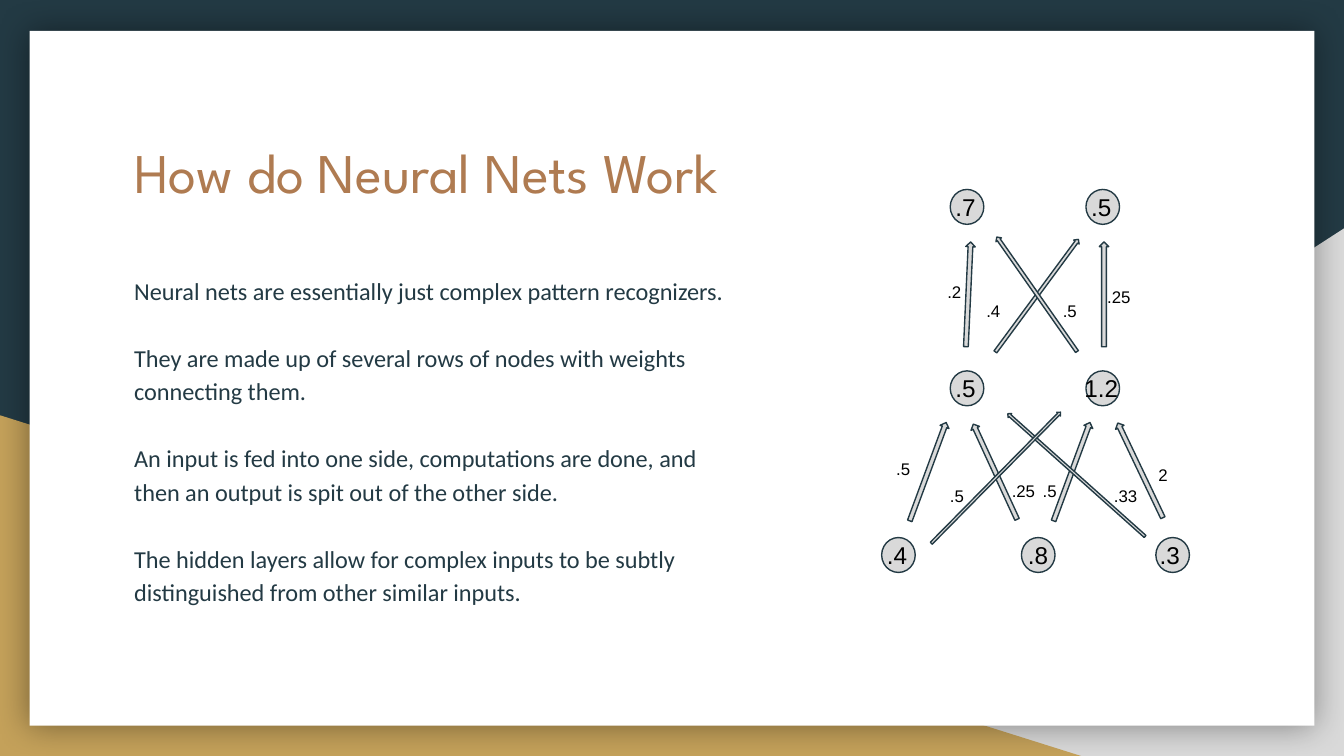
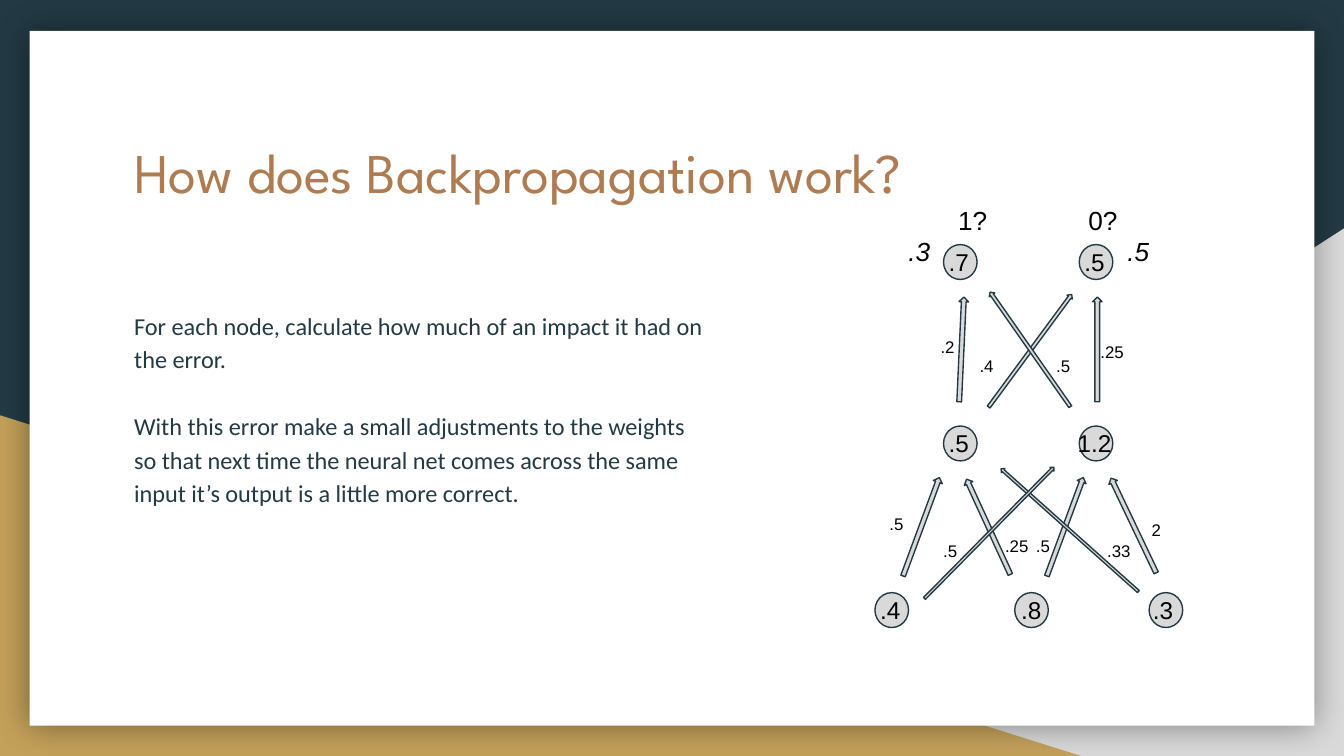
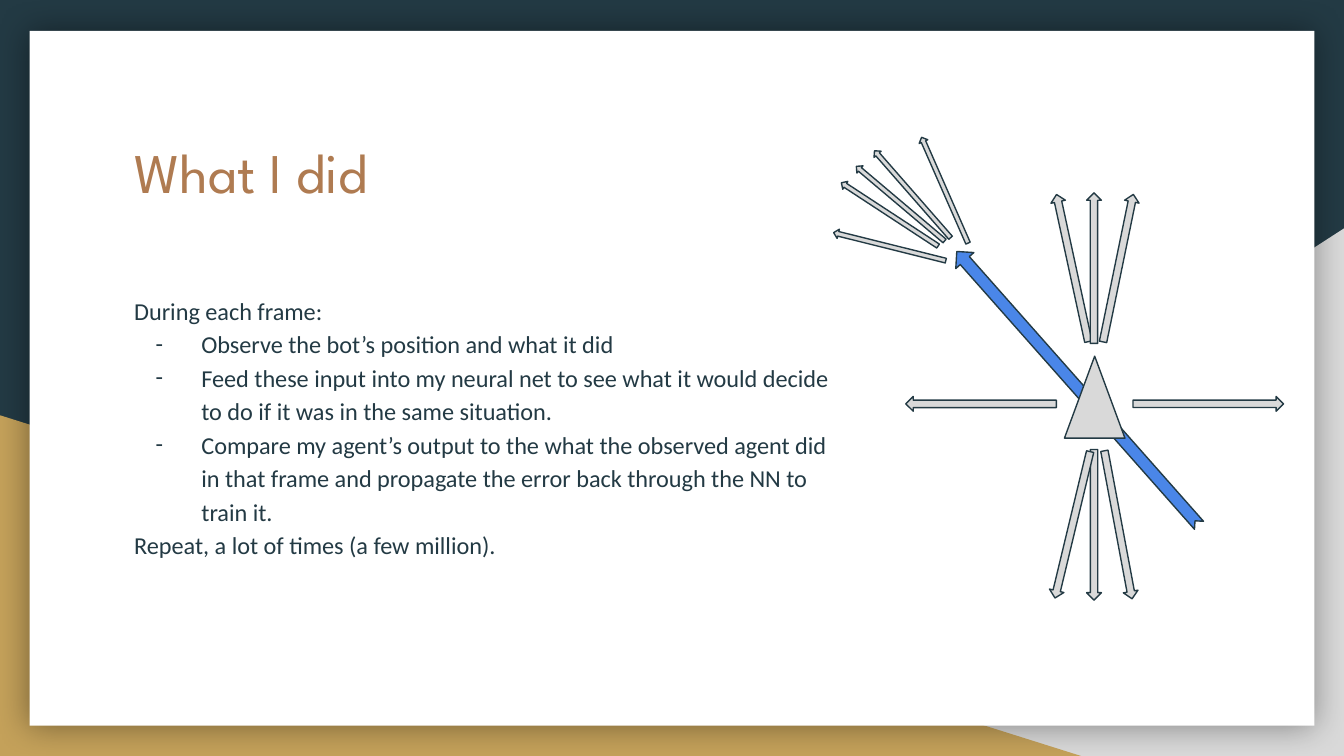
from dataclasses import dataclass

from lxml.etree import SubElement
from pptx import Presentation
from pptx.dml.color import RGBColor
from pptx.enum.shapes import MSO_SHAPE as Preset
from pptx.oxml.ns import qn
from pptx.presentation import Presentation as Deck
from pptx.shapes.autoshape import Shape
from pptx.slide import Slide
from pptx.text.text import _Paragraph as Paragraph
from pptx.util import Inches, Pt

NAVY = RGBColor(0x23, 0x3A, 0x44)
GREY = RGBColor(0xD9, 0xD9, 0xD9)
GOLD = RGBColor(0xC4, 0xA1, 0x5A)
BRONZE = RGBColor(0xAF, 0x7B, 0x51)
BLUE = RGBColor(0x4A, 0x86, 0xE8)
WHITE = RGBColor(0xFF, 0xFF, 0xFF)
BLACK = RGBColor(0x00, 0x00, 0x00)

TITLE_FONT, BODY_FONT, LABEL_FONT = "League Spartan", "Calibri", "Arial"
MARGIN_LEFT = 0.9
BODY_HEIGHT = 2.68
NODE_WIDTH, NODE_HEIGHT = 0.25, 0.26
WEIGHT_DROP = 0.02


@dataclass(frozen=True)
class Box:
    """A frame on the slide, in inches."""

    left: float
    top: float
    width: float
    height: float

    def moved(self, right: float, down: float) -> "Box":
        """Return the frame shifted by the given distances."""
        return Box(self.left + right, self.top + down, self.width, self.height)


@dataclass(frozen=True)
class Style:
    """The look of a text."""

    font: str
    size: float
    color: RGBColor
    italic: bool = False


@dataclass(frozen=True)
class Line:
    """A paragraph of body text."""

    text: str
    bullet: bool = False
    space_before: float = 0


@dataclass(frozen=True)
class Node:
    """A neuron with its value and the left shift of that value."""

    value: str
    left: float
    top: float
    shift: float = 0.06
    label_width: float = 0.39


@dataclass(frozen=True)
class Weight:
    """A weighted arrow between two neurons."""

    value: str
    label_left: float
    label_top: float
    arrow: Box
    turn: float


TITLE = Style(TITLE_FONT, 30, BRONZE)
BODY = Style(BODY_FONT, 13, NAVY)
NODE_LABEL = Style(LABEL_FONT, 13, BLACK)
WEIGHT_LABEL = Style(LABEL_FONT, 9, BLACK)
TARGET_LABEL = Style(LABEL_FONT, 14, BLACK)
ERROR_LABEL = Style(LABEL_FONT, 14, BLACK, italic=True)

OUTPUT_TOP, HIDDEN_TOP, INPUT_TOP = 1.41, 2.76, 4.0
NODES = [
    Node(".7", 7.07, OUTPUT_TOP),
    Node(".5", 8.08, OUTPUT_TOP),
    Node(".5", 7.07, HIDDEN_TOP),
    Node("1.2", 8.08, HIDDEN_TOP, 0.11, 0.47),
    Node(".4", 6.56, INPUT_TOP, 0.06, 0.47),
    Node(".8", 7.6, INPUT_TOP, 0.05),
    Node(".3", 8.6, INPUT_TOP, 0.07, 0.47),
]
WEIGHTS = [
    Weight(".5", 6.57, 3.32, Box(6.87, 3.12, 0.07, 0.78), 20.3),
    Weight(".4", 7.24, 2.14, Box(7.69, 1.68, 0.05, 1.04), 36.4),
    Weight(".5", 7.66, 3.48, Box(7.94, 3.12, 0.07, 0.78), 20.3),
    Weight(".25", 7.43, 3.48, Box(7.37, 3.12, 0.07, 0.78), 335.3),
    Weight("2", 8.52, 3.36, Box(8.45, 3.11, 0.07, 0.78), 334.5),
    Weight(".5", 7.81, 2.14, Box(7.69, 1.67, 0.05, 1.04), 325),
    Weight(".2", 6.95, 2.0, Box(7.17, 1.8, 0.07, 0.78), 2.6),
    Weight(".25", 8.14, 2.04, Box(8.18, 1.8, 0.07, 0.78), 0),
    Weight(".33", 8.19, 3.52, Box(7.99, 2.85, 0.04, 1.37), 311.8),
    Weight(".5", 6.97, 3.52, Box(7.39, 2.87, 0.04, 1.37), 44.6),
]

RAY_LENGTH, RAY_THICKNESS = 1.12, 0.11
BOT_RAYS = [
    (8.43, 2.95, 0),
    (7.76, 1.94, 281.6),
    (7.42, 1.94, 257.8),
    (6.74, 2.95, 180),
    (7.58, 3.85, 90),
    (7.76, 3.85, 79.4),
    (7.42, 3.85, 103.5),
    (7.58, 1.94, 270),
]
AIM_LENGTH, AIM_THICKNESS = 0.86, 0.07
AIM_RAYS = [
    (6.19, 1.8, 194),
    (6.27, 1.48, 220.2),
    (6.6, 1.38, 246.3),
    (6.19, 1.56, 213.2),
    (6.36, 1.41, 228.8),
]


def add_figure(slide: Slide, preset: Preset, box: Box, fill: RGBColor = GREY,
               turn: float = 0, outlined: bool = True) -> Shape:
    """Draw a flat preset shape."""
    figure = slide.shapes.add_shape(preset, Inches(box.left), Inches(box.top),
                                    Inches(box.width), Inches(box.height))
    figure.shadow.inherit = False
    figure.fill.solid()
    figure.fill.fore_color.rgb = fill
    figure.rotation = turn
    if outlined:
        figure.line.color.rgb = NAVY
        figure.line.width = Pt(0.75)
    else:
        figure.line.fill.background()
    return figure


def add_glow(figure: Shape) -> None:
    """Put a soft dark shadow around a shape."""
    effects = figure.element.spPr.find(qn("a:effectLst"))
    shadow = SubElement(effects, qn("a:outerShdw"), blurRad=str(Pt(18)), dist="0",
                        dir="0", algn="ctr", rotWithShape="0")
    color = SubElement(shadow, qn("a:srgbClr"), val=str(BLACK))
    SubElement(color, qn("a:alpha"), val="40000")


def add_dash(paragraph: Paragraph, style: Style) -> None:
    """Give a paragraph a dash bullet with a hanging indent."""
    properties = paragraph._p.get_or_add_pPr()
    properties.set("marL", str(Inches(0.5)))
    properties.set("indent", str(Inches(-0.34)))
    color = SubElement(properties, qn("a:buClr"))
    SubElement(color, qn("a:srgbClr"), val=str(style.color))
    SubElement(properties, qn("a:buSzPts"), val=str(int(style.size * 100)))
    SubElement(properties, qn("a:buFont"), typeface=style.font)
    SubElement(properties, qn("a:buChar"), char="-")


def add_text(slide: Slide, box: Box, lines: list[Line], style: Style,
             line_spacing: float = 1.0) -> None:
    """Write paragraphs of one style in a text box."""
    frame = slide.shapes.add_textbox(Inches(box.left), Inches(box.top),
                                     Inches(box.width), Inches(box.height)).text_frame
    frame.word_wrap = True
    frame.margin_left = frame.margin_right = Inches(0.1)
    frame.margin_top = frame.margin_bottom = Inches(0.1)
    for index, line in enumerate(lines):
        paragraph = frame.add_paragraph() if index else frame.paragraphs[0]
        paragraph.text = line.text
        if line.bullet:
            add_dash(paragraph, style)
        paragraph.line_spacing = line_spacing
        if line.space_before:
            paragraph.space_before = Pt(line.space_before)
        paragraph.font.name = style.font
        paragraph.font.size = Pt(style.size)
        paragraph.font.color.rgb = style.color
        paragraph.font.italic = style.italic


def add_label(slide: Slide, box: Box, text: str, style: Style) -> None:
    """Write a single short text."""
    add_text(slide, box, [Line(text)], style)


def add_content_slide(deck: Deck, title: str, title_width: float, body_top: float,
                      body_width: float, lines: list[Line]) -> Slide:
    """Add a slide with the shared backdrop, a title and body text."""
    slide = deck.slides.add_slide(deck.slide_layouts[6])
    slide.background.fill.solid()
    slide.background.fill.fore_color.rgb = NAVY
    right_corner = add_figure(slide, Preset.RIGHT_TRIANGLE, Box(3.92, 1.7, 6.08, 3.93),
                              outlined=False)
    right_corner.element.spPr.xfrm.set("flipH", "1")
    add_figure(slide, Preset.RIGHT_TRIANGLE, Box(0, 3.09, 8.06, 2.54), GOLD, outlined=False)
    add_glow(add_figure(slide, Preset.RECTANGLE, Box(0.22, 0.23, 9.56, 5.17), WHITE,
                        outlined=False))
    add_label(slide, Box(MARGIN_LEFT, 0.92, title_width, 1.04), title, TITLE)
    add_text(slide, Box(MARGIN_LEFT, body_top, body_width, BODY_HEIGHT), lines, BODY, 1.15)
    return slide


def spaced(*texts: str) -> list[Line]:
    """Return paragraphs set one line apart."""
    return [Line(text, space_before=18 if index else 0) for index, text in enumerate(texts)]


def add_network(slide: Slide, right: float = 0, down: float = 0) -> None:
    """Draw the neural net, shifted by the given distances."""
    for node in NODES:
        circle = Box(node.left, node.top, NODE_WIDTH, NODE_HEIGHT)
        add_figure(slide, Preset.OVAL, circle.moved(right, down))
    for weight in WEIGHTS:
        add_figure(slide, Preset.UP_ARROW, weight.arrow.moved(right, down), turn=weight.turn)
    for node in NODES:
        label = Box(node.left - node.shift, node.top - 0.08, node.label_width, 0.43)
        add_label(slide, label.moved(right, down), node.value, NODE_LABEL)
    for weight in WEIGHTS:
        width = 0.47 if len(weight.value) > 2 else 0.33
        label = Box(weight.label_left, weight.label_top + WEIGHT_DROP, width, 0.35)
        add_label(slide, label.moved(right, down), weight.value, WEIGHT_LABEL)


def add_rays(slide: Slide, rays: list[tuple[float, float, float]], length: float,
             thickness: float) -> None:
    """Draw turned arrows of one size."""
    for left, top, turn in rays:
        add_figure(slide, Preset.RIGHT_ARROW, Box(left, top, length, thickness), turn=turn)


def build_neural_nets(deck: Deck) -> None:
    """Explain how neural nets work."""
    slide = add_content_slide(deck, "How do Neural Nets Work", 5.49, 1.92, 4.68, spaced(
        "Neural nets are essentially just complex pattern recognizers.",
        "They are made up of several rows of nodes with weights connecting them.",
        "An input is fed into one side, computations are done, and then an output is "
        "spit out of the other side.",
        "The hidden layers allow for complex inputs to be subtly distinguished from "
        "other similar inputs.",
    ))
    add_network(slide)


def build_backpropagation(deck: Deck) -> None:
    """Explain how the error travels back."""
    slide = add_content_slide(deck, "How does Backpropagation work?", 6.71, 2.18, 4.49, spaced(
        "For each node, calculate how much of an impact it had on the error.",
        "With this error make a small adjustments to the weights so that next time the "
        "neural net comes across the same input it’s output is a little more correct.",
    ))
    add_network(slide, right=-0.05, down=0.41)
    for target, left in (("1?", 7.03), ("0?", 8.0)):
        add_label(slide, Box(left, 1.42, 0.52, 0.49), target, TARGET_LABEL)
    for error, left in ((".3", 6.66), (".5", 8.29)):
        add_label(slide, Box(left, 1.65, 0.39, 0.43), error, ERROR_LABEL)


def build_what_i_did(deck: Deck) -> None:
    """Show the training steps and the sensors of the bot."""
    slide = add_content_slide(deck, "What I did", 2.34, 2.07, 5.45, [
        Line("During each frame:"),
        Line("Observe the bot’s position and what it did", bullet=True),
        Line("Feed these input into my neural net to see what it would decide to do if it "
             "was in the same situation.", bullet=True),
        Line("Compare my agent’s output to the what the observed agent did in that frame "
             "and propagate the error back through the NN to train it.", bullet=True),
        Line("Repeat, a lot of times (a few million)."),
    ])
    add_rays(slide, BOT_RAYS, RAY_LENGTH, RAY_THICKNESS)
    add_figure(slide, Preset.NOTCHED_RIGHT_ARROW, Box(6.66, 2.8, 2.72, 0.18), BLUE, 228.5)
    add_figure(slide, Preset.FLOWCHART_EXTRACT, Box(7.92, 2.65, 0.45, 0.61))
    add_rays(slide, AIM_RAYS, AIM_LENGTH, AIM_THICKNESS)


def main() -> None:
    """Build and save the deck."""
    deck = Presentation()
    deck.slide_width = Inches(10)
    deck.slide_height = Inches(10) * 9 // 16
    build_neural_nets(deck)
    build_backpropagation(deck)
    build_what_i_did(deck)
    deck.save("out.pptx")


if __name__ == "__main__":
    main()
